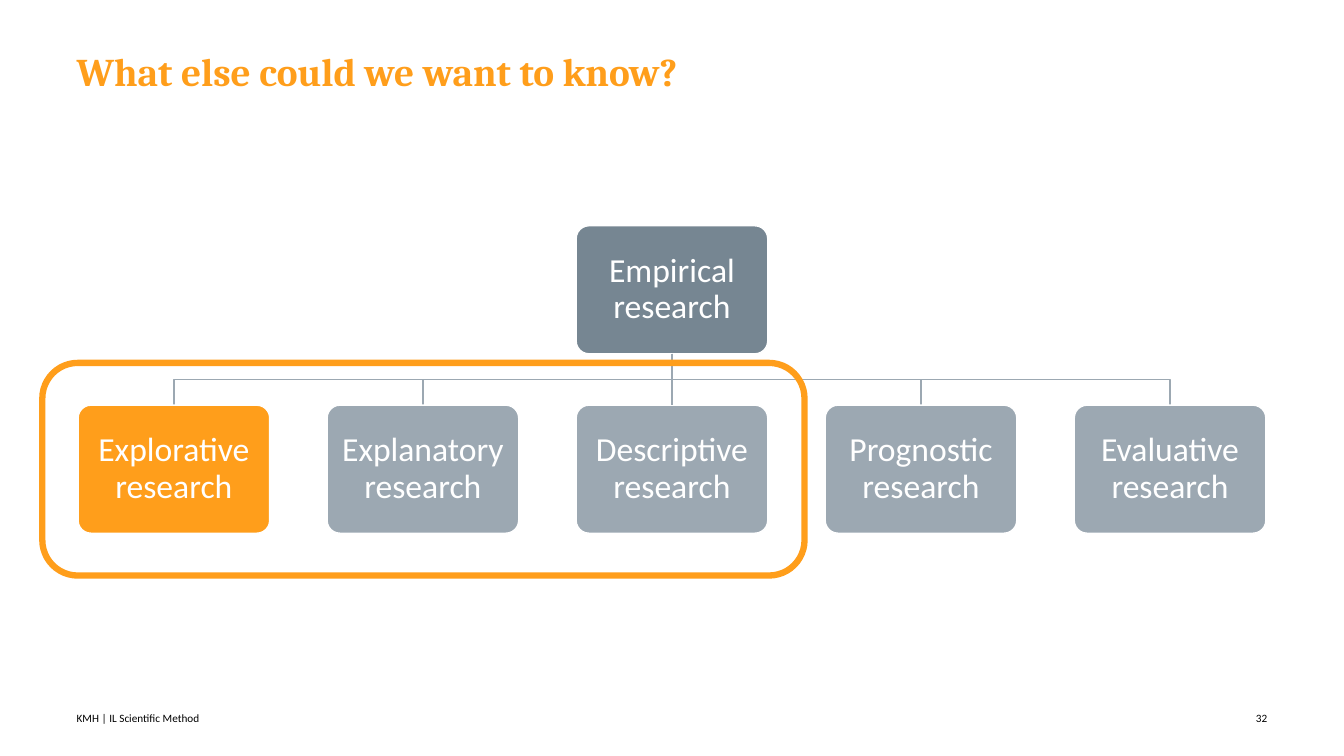
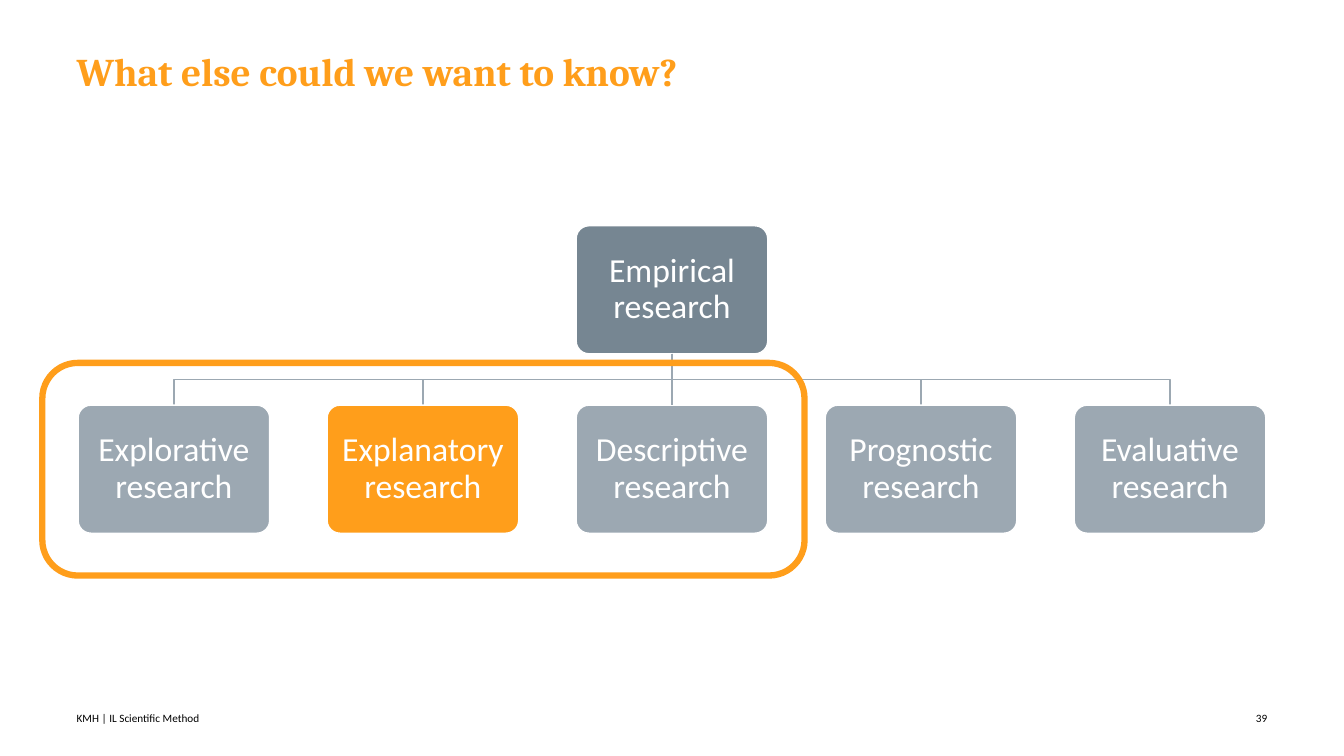
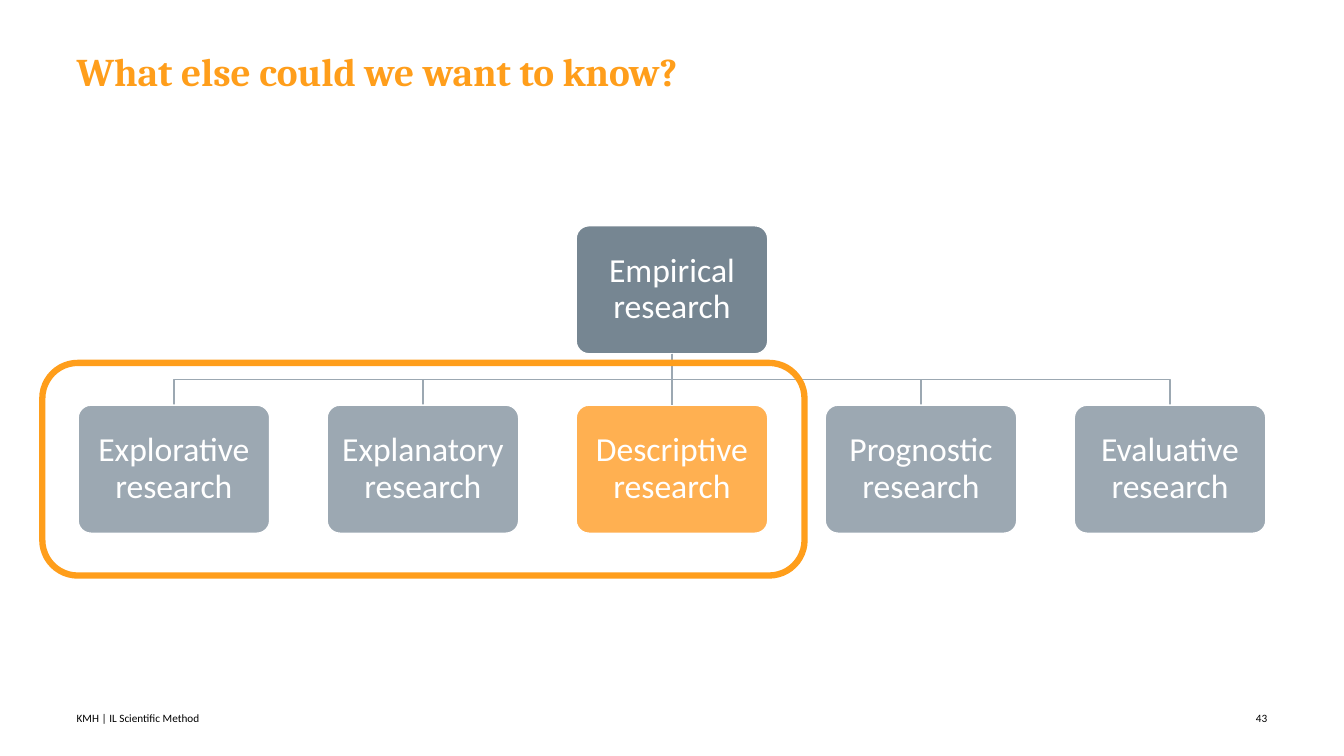
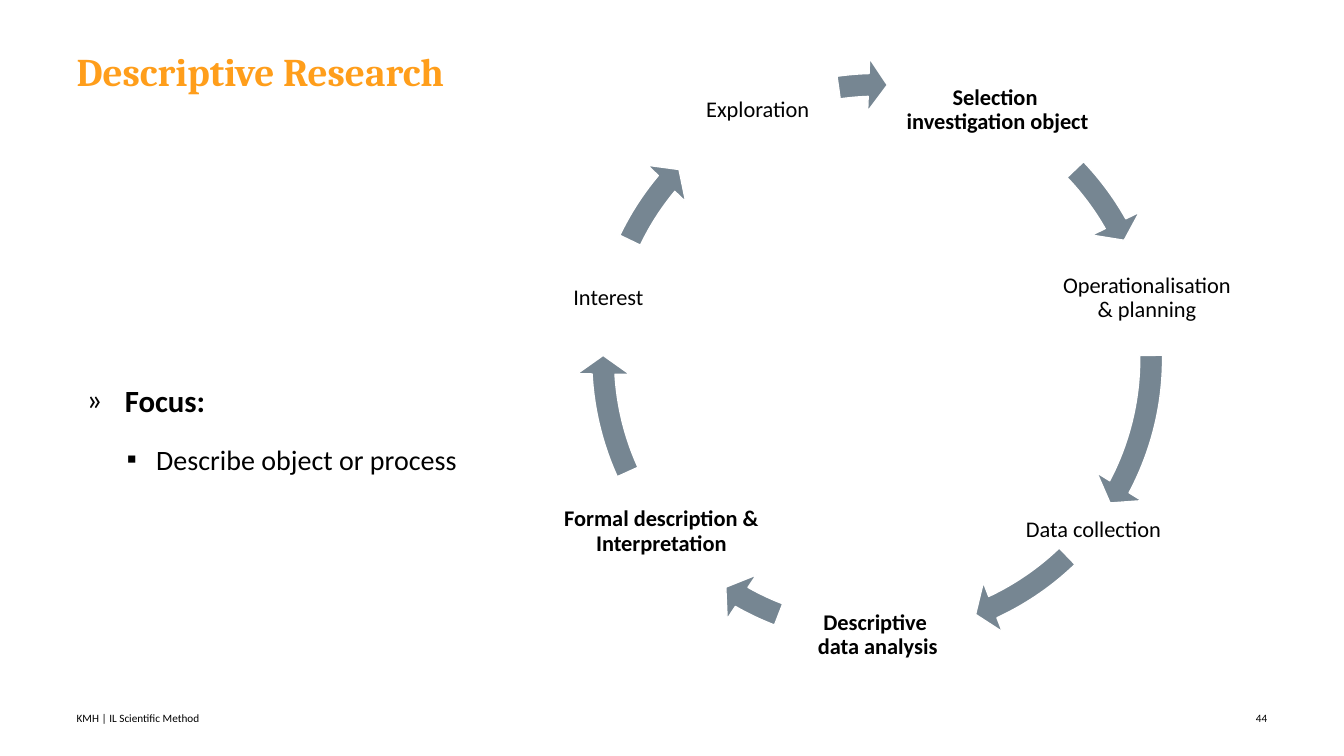
from dataclasses import dataclass

from lxml import etree
from pptx import Presentation
from pptx.dml.color import RGBColor
from pptx.enum.shapes import MSO_CONNECTOR, MSO_SHAPE
from pptx.enum.text import MSO_ANCHOR, PP_ALIGN
from pptx.oxml.ns import qn
from pptx.util import Inches, Pt

ROUND, ARC = MSO_SHAPE.ROUNDED_RECTANGLE, MSO_SHAPE.CIRCULAR_ARROW
STRAIGHT = MSO_CONNECTOR.STRAIGHT
TOP, MIDDLE = MSO_ANCHOR.TOP, MSO_ANCHOR.MIDDLE
LEFT, CENTER, RIGHT = PP_ALIGN.LEFT, PP_ALIGN.CENTER, PP_ALIGN.RIGHT


@dataclass(frozen=True)
class Theme:
    orange: str = "FF9E1B"
    amber: str = "FFB051"
    slate: str = "768692"
    gray: str = "9CA8B2"
    black: str = "000000"
    white: str = "FFFFFF"
    head: str = "Cambria"
    body: str = "Calibri"
    title: int = 28
    node: int = 24
    focus: int = 22
    item: int = 20
    step: int = 16
    foot: int = 8


T = Theme()
WIDTH, HEIGHT = 13.33, 7.5

# Content
FOOTER = "KMH | IL Scientific Method"
QUESTION = "What else could we want to know?"
ROOT = "Empirical research"
KINDS = ["Explorative research", "Explanatory research", "Descriptive research",
         "Prognostic research", "Evaluative research"]
# page number, marked kind, its colour
TREES = [(32, 0, T.orange), (39, 1, T.orange), (43, 2, T.amber)]

CYCLE = "Descriptive Research"
CYCLE_PAGE = 44
# label, bold, box, start and end angle of the arrow that follows
STEPS = [
    ("Selection \ninvestigation object", True, (8.81, 0.52, 2.17, 1.15), (316.31, 330.45)),
    ("Operationalisation\n& planning", False, (10.13, 2.38, 2.49, 1.15), (359.29, 27.85)),
    ("Data collection", False, (9.98, 5, 1.73, 0.53), (46.1, 65.02)),
    ("Descriptive \ndata analysis", True, (7.72, 5.73, 1.97, 1.15), (111.07, 119.61)),
    ("Formal description & Interpretation", True, (5.26, 4.7, 2.6, 1.15), (155.59, 176.79)),
    ("Interest", False, (5.46, 2.38, 1.15, 1.15), (205.64, 219.78)),
    ("Exploration", False, (6.71, 0.52, 1.61, 1.15), (261.92, 268.22)),
]
# text, bullet, left margin, hanging indent, size, bold
POINTS = [("Focus:", "»", 0.38, 0.38, T.focus, True),
          ("Describe object or process", "▪", 0.69, 0.29, T.item, False)]

# Layout
NODE_W, NODE_H, GAP = 1.9, 1.27, 0.57
ROOT_Y, KIND_Y = 2.24, 4.02
FRAME = (0.42, 3.6, 7.56, 2.11)
RING = (5.72, 0.58, 5.96, 5.96)
ARC_W, TIP_ANGLE, TIP_W = 0.038, 3.92, 0.044
DEGREE = 0.6  # adjustment units in one degree


# Helpers
def rgb(code):
    return RGBColor.from_string(code)


def inch(vals):
    return [Inches(v) for v in vals]


def style(para, size, color, bold=False, face=T.body, align=LEFT, space=None):
    para.alignment = align
    if space:
        para.line_spacing = space
    font = para.font
    font.name, font.size, font.bold = face, Pt(size), bold
    font.color.rgb = rgb(color)


def set_frame(shape, pad, anchor):
    frame = shape.text_frame
    frame.word_wrap, frame.vertical_anchor = True, anchor
    frame.margin_left = frame.margin_right = Inches(pad)
    frame.margin_top = frame.margin_bottom = Inches(pad)
    return frame


def add_text(slide, text, box, size, color=T.black, pad=0, anchor=MIDDLE, **look):
    frame = set_frame(slide.shapes.add_textbox(*inch(box)), pad, anchor)
    frame.paragraphs[0].text = text
    style(frame.paragraphs[0], size, color, **look)


def paint(shape, fill, line, width):
    shape.shadow.inherit = False
    if fill:
        shape.fill.solid()
        shape.fill.fore_color.rgb = rgb(fill)
    else:
        shape.fill.background()
    shape.line.color.rgb = rgb(line)
    shape.line.width = Pt(width)


def add_node(slide, text, x, y, fill):
    node = slide.shapes.add_shape(ROUND, *inch((x, y, NODE_W, NODE_H)))
    node.adjustments[0] = 0.1
    paint(node, fill, T.white, 1)
    frame = set_frame(node, 0.05, MIDDLE)
    frame.text = text
    style(frame.paragraphs[0], T.node, T.white, align=CENTER, space=0.9)
    return node


def add_elbow(slide, x):
    mid, top = WIDTH / 2, ROOT_Y + NODE_H
    bend = (top + KIND_Y) / 2
    start, *rest = [inch(p) for p in ((mid, top), (mid, bend), (x, bend), (x, KIND_Y))]
    path = slide.shapes.build_freeform(*start)
    path.add_line_segments(rest, close=False)
    paint(path.convert_to_shape(), None, T.gray, 1)


def add_stem(slide, upper, lower):
    stem = slide.shapes.add_connector(STRAIGHT, 0, 0, 0, 0)
    stem.begin_connect(upper, 2)
    stem.end_connect(lower, 0)
    stem.line.color.rgb = rgb(T.gray)
    stem.line.width = Pt(1)
    etree.SubElement(stem._element.spPr, qn("a:effectLst"))


def add_bullet(para, mark, left, hang):
    props = para._p.get_or_add_pPr()
    props.set("marL", str(Inches(left)))
    props.set("indent", str(-Inches(hang)))
    etree.SubElement(props, qn("a:buFont")).set("typeface", T.body)
    etree.SubElement(props, qn("a:buChar")).set("char", mark)


def new_slide(prs, title, page):
    slide = prs.slides.add_slide(prs.slide_layouts[6])
    add_text(slide, title, (0.76, 0.52, 9.76, 0.87), T.title, T.orange,
             anchor=TOP, bold=True, face=T.head, space=0.9)
    add_text(slide, FOOTER, (0.76, 7.04, 5.59, 0.16), T.foot)
    add_text(slide, str(page), (12.02, 7.04, 0.55, 0.16), T.foot, align=RIGHT)
    return slide


# Slides
def tree_slide(prs, page, mark, tint):
    slide = new_slide(prs, QUESTION, page)
    root = add_node(slide, ROOT, (WIDTH - NODE_W) / 2, ROOT_Y, T.slate)
    count = len(KINDS)
    left = (WIDTH - count * NODE_W - (count - 1) * GAP) / 2
    for i, kind in enumerate(KINDS):
        x = left + i * (NODE_W + GAP)
        below = i == count // 2
        if not below:
            add_elbow(slide, x + NODE_W / 2)
        node = add_node(slide, kind, x, KIND_Y, tint if i == mark else T.gray)
        if below:
            add_stem(slide, root, node)
    paint(slide.shapes.add_shape(ROUND, *inch(FRAME)), None, T.orange, 4.5)


def cycle_slide(prs):
    slide = new_slide(prs, CYCLE, CYCLE_PAGE)
    for text, bold, box, (start, end) in STEPS:
        add_text(slide, text, box, T.step, pad=0.02, bold=bold, align=CENTER, space=0.9)
        arc = slide.shapes.add_shape(ARC, *inch(RING))
        sizes = (ARC_W, TIP_ANGLE * DEGREE, end * DEGREE, start * DEGREE, TIP_W)
        for i, size in enumerate(sizes):
            arc.adjustments[i] = size
        paint(arc, T.slate, T.white, 1)

    # Focus list
    frame = set_frame(slide.shapes.add_textbox(*inch((0.76, 1.7, 5.91, 5.04))), 0.1, MIDDLE)
    frame.margin_top = frame.margin_bottom = Inches(0.05)
    for i, (text, mark, left, hang, size, bold) in enumerate(POINTS):
        para = frame.add_paragraph() if i else frame.paragraphs[0]
        para.text, para.level = text, i
        add_bullet(para, mark, left, hang)
        style(para, size, T.black, bold, space=1.2)
        para.space_before, para.space_after = Pt(6 if i else 0), Pt(6)


def main():
    prs = Presentation()
    prs.slide_width, prs.slide_height = Inches(WIDTH), Inches(HEIGHT)
    for tree in TREES:
        tree_slide(prs, *tree)
    cycle_slide(prs)
    prs.save("out.pptx")


if __name__ == "__main__":
    main()
